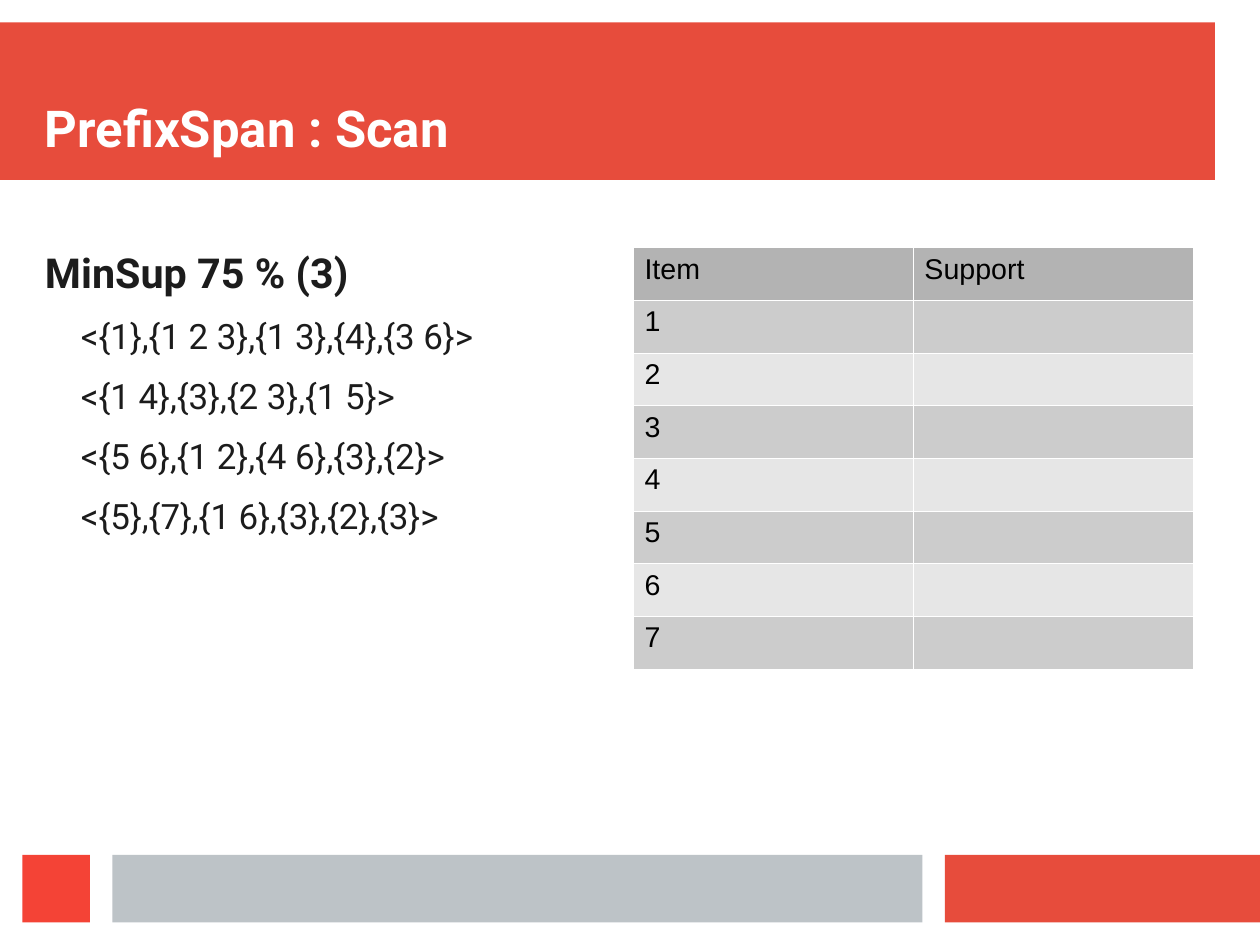
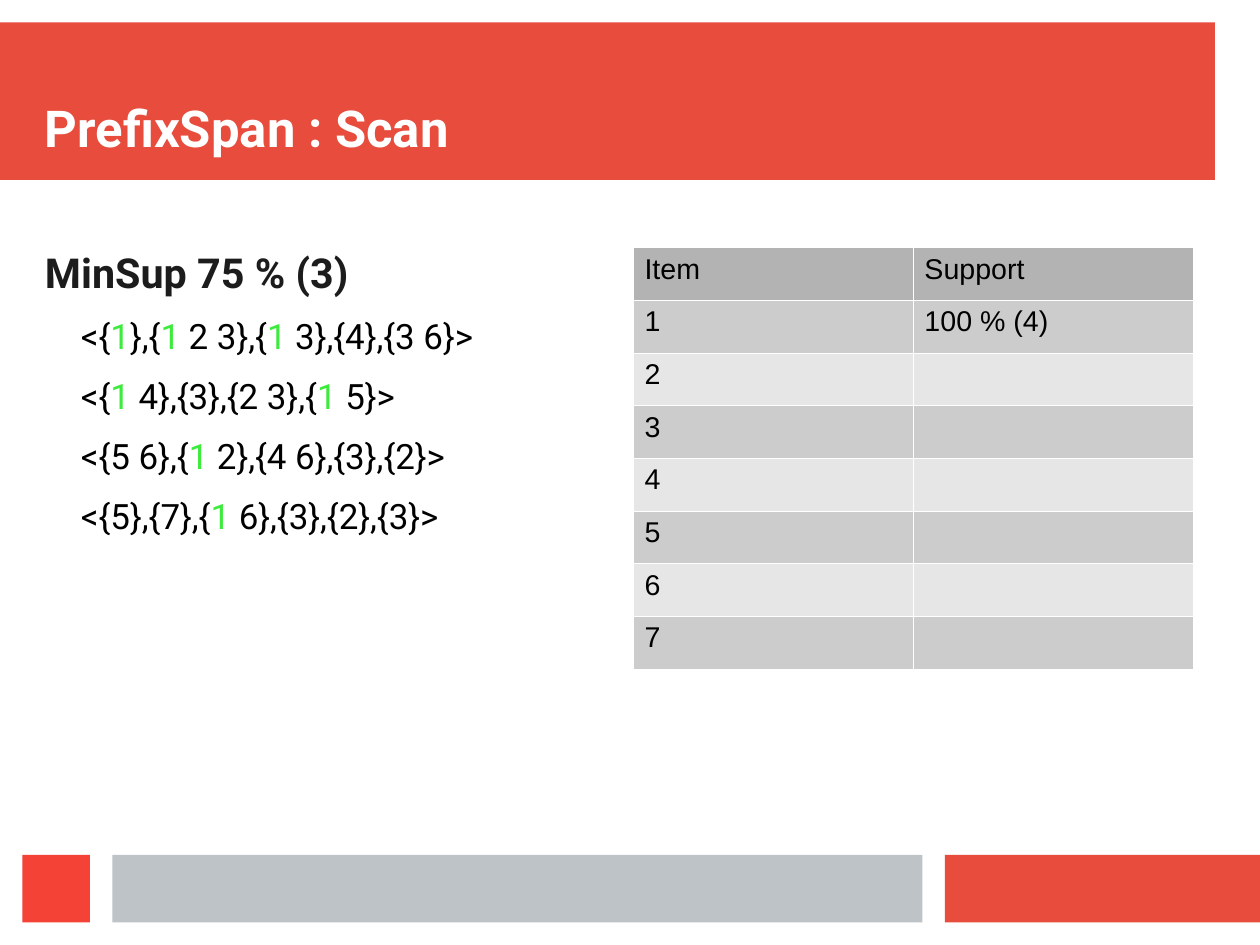
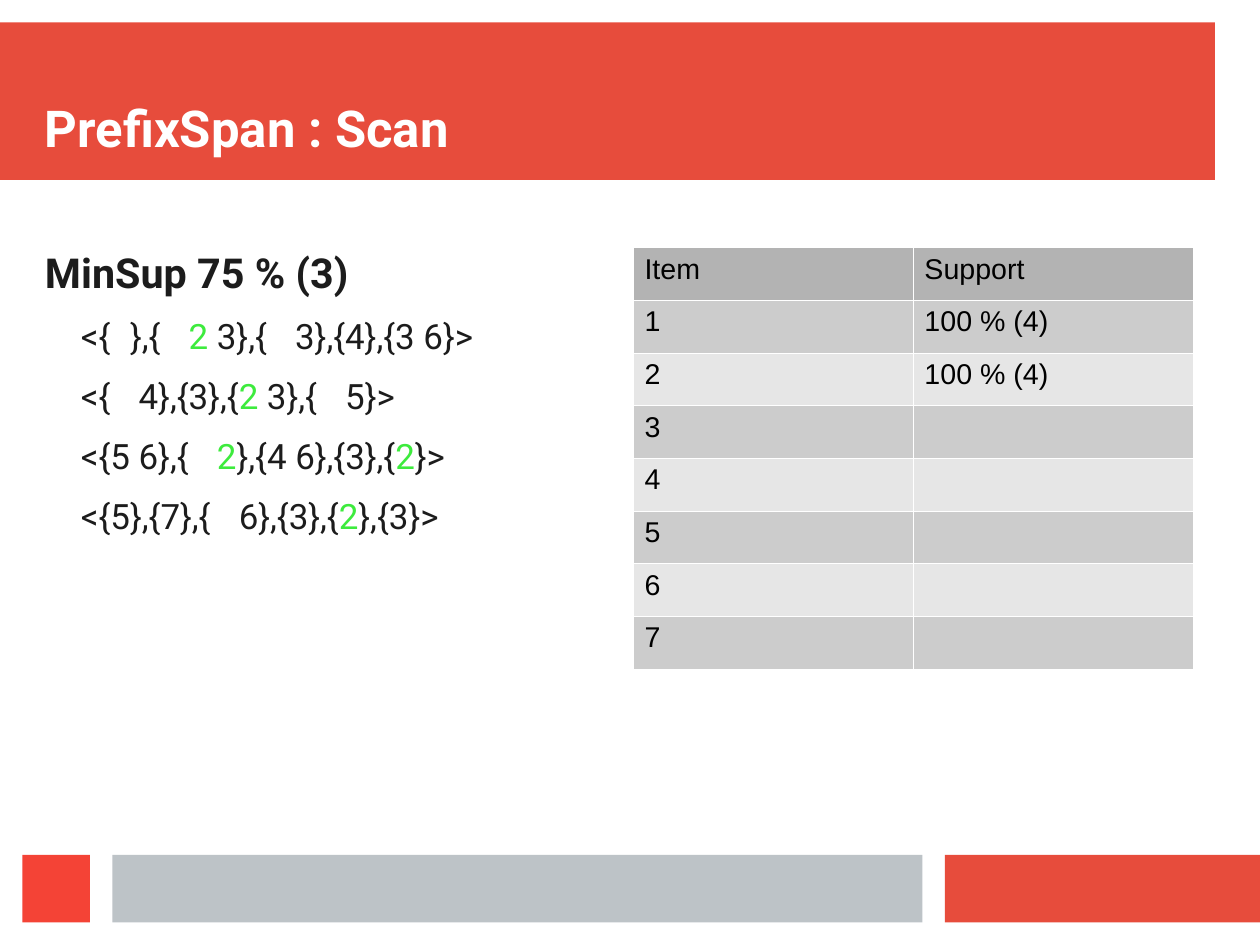
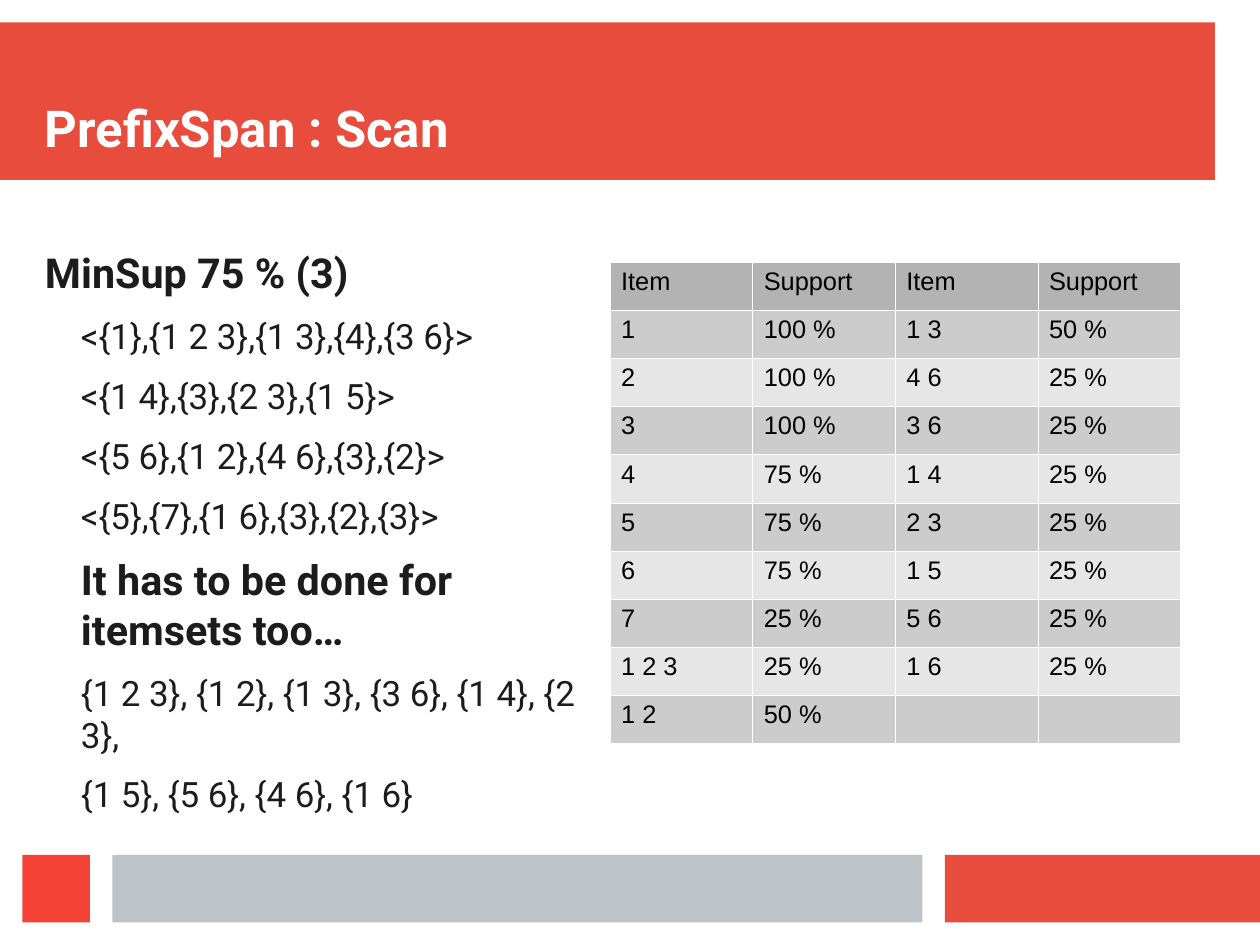
from dataclasses import dataclass, field
from itertools import groupby

from lxml import etree
from pptx import Presentation
from pptx.dml.color import RGBColor
from pptx.enum.shapes import MSO_SHAPE
from pptx.enum.text import MSO_ANCHOR
from pptx.oxml.ns import qn
from pptx.slide import Slide
from pptx.text.text import TextFrame, _Paragraph
from pptx.util import Cm, Pt

RECTANGLE = MSO_SHAPE.RECTANGLE
BOTTOM = MSO_ANCHOR.BOTTOM
BLANK_LAYOUT = 6

RED, BRIGHT_RED, SILVER = "E74C3C", "F44336", "BDC3C7"
WHITE, BLACK, INK, GREEN = "FFFFFF", "000000", "1C1C1C", "3DEB3D"
HEADER_FILL, ROW_FILLS = "B3B3B3", ("CCCCCC", "E6E6E6")
TEXT_FONT, TABLE_FONT = "Roboto", "Arial"
BORDER_WIDTH = Pt(0.06)

TITLE = "PrefixSpan : Scan"
MIN_SUPPORT = "MinSup 75 % (3)"
SEQUENCES = (
    "<{1},{1 2 3},{1 3},{4},{3 6}>",
    "<{1 4},{3},{2 3},{1 5}>",
    "<{5 6},{1 2},{4 6},{3},{2}>",
    "<{5},{7},{1 6},{3},{2},{3}>",
)


@dataclass(frozen=True)
class Band:
    left: float
    top: float
    width: float
    height: float
    color: str


@dataclass(frozen=True)
class Line:
    text: str
    heading: bool = False
    indent: float = 0.8


@dataclass(frozen=True)
class SupportTable:
    rows: list[tuple[str, ...]]
    left: float = 14.07
    top: float = 5.5
    column_width: float = 6.22
    row_height: float = 1.17
    size: int = 18


@dataclass(frozen=True)
class Scan:
    """One step of the scan; item_colors marks the items already counted or being counted."""
    table: SupportTable
    item_colors: dict[str, str] = field(default_factory=dict)
    sequence_color: str = INK
    closing: tuple[Line, ...] = ()


BANDS = (
    Band(0, 0.5, 27, 3.5, RED),
    Band(21, 19, 7, 1.5, RED),
    Band(2.5, 19, 18, 1.5, SILVER),
    Band(0.5, 19, 1.5, 1.5, BRIGHT_RED),
)


def item_rows(*supports: str) -> list[tuple[str, ...]]:
    """Rows for items 1 to 7, with the supports found so far."""
    found = dict(enumerate(supports, 1))
    return [("Item", "Support")] + [(str(i), found.get(i, "")) for i in range(1, 8)]


ITEMSET_ROWS = [
    ("Item", "Support", "Item", "Support"),
    ("1", "100 %", "1 3", "50 %"),
    ("2", "100 %", "4 6", "25 %"),
    ("3", "100 %", "3 6", "25 %"),
    ("4", "75 %", "1 4", "25 %"),
    ("5", "75 %", "2 3", "25 %"),
    ("6", "75 %", "1 5", "25 %"),
    ("7", "25 %", "5 6", "25 %"),
    ("1 2 3", "25 %", "1 6", "25 %"),
    ("1 2", "50 %", "", ""),
]

SCANS = (
    Scan(SupportTable(item_rows())),
    Scan(SupportTable(item_rows("100 % (4)")), {"1": GREEN}, BLACK),
    Scan(SupportTable(item_rows("100 % (4)", "100 % (4)")), {"1": WHITE, "2": GREEN}),
    Scan(
        SupportTable(ITEMSET_ROWS, 13.55, 5.82, 3.17, 1.07, 16),
        closing=(
            Line("It has to be done for itemsets too…", heading=True),
            Line("{1 2 3}, {1 2}, {1 3}, {3 6}, {1 4}, {2 3},"),
            Line("{1 5}, {5 6}, {4 6}, {1 6}"),
        ),
    ),
)


def rgb(color: str) -> RGBColor:
    return RGBColor.from_string(color)


def style(paragraph: _Paragraph, name: str, size: int, color: str, bold: bool = False) -> None:
    font = paragraph.font
    font.name, font.size, font.bold = name, Pt(size), bold
    font.color.rgb = rgb(color)


def add_band(slide: Slide, band: Band) -> None:
    shape = slide.shapes.add_shape(
        RECTANGLE, Cm(band.left), Cm(band.top), Cm(band.width), Cm(band.height))
    shape.shadow.inherit = False
    shape.fill.solid()
    shape.fill.fore_color.rgb = rgb(band.color)
    shape.line.fill.background()


def add_text_area(slide: Slide, top: float, width: float, height: float) -> TextFrame:
    frame = slide.shapes.add_textbox(Cm(1), Cm(top), Cm(width), Cm(height)).text_frame
    frame.word_wrap = True
    frame.margin_left = frame.margin_top = frame.margin_right = frame.margin_bottom = 0
    return frame


def add_title(slide: Slide) -> None:
    frame = add_text_area(slide, 1, 26, 2.5)
    frame.vertical_anchor = BOTTOM
    frame.text = TITLE
    style(frame.paragraphs[0], TEXT_FONT, 32, WHITE, bold=True)


def add_body(slide: Slide, scan: Scan) -> None:
    frame = add_text_area(slide, 5.5, 12.45, 13)
    lines = [Line(MIN_SUPPORT, heading=True, indent=0), *map(Line, SEQUENCES), *scan.closing]
    for index, line in enumerate(lines):
        paragraph = frame.add_paragraph() if index else frame.paragraphs[0]
        paragraph.space_after = Pt(11.3)
        properties = paragraph._p.get_or_add_pPr()
        properties.set("marL", str(Cm(line.indent)))
        properties.set("indent", "0")
        if line.heading:
            style(paragraph, TEXT_FONT, 26, INK, bold=True)
            paragraph.add_run().text = line.text
        else:
            style(paragraph, TEXT_FONT, 22, scan.sequence_color)
            add_marked_runs(paragraph, line.text, scan.item_colors)


def add_marked_runs(paragraph: _Paragraph, text: str, item_colors: dict[str, str]) -> None:
    for color, characters in groupby(text, key=item_colors.get):
        run = paragraph.add_run()
        run.text = "".join(characters)
        if color:
            run.font.color.rgb = rgb(color)


def add_support_table(slide: Slide, support: SupportTable) -> None:
    row_count, column_count = len(support.rows), len(support.rows[0])
    table = slide.shapes.add_table(
        row_count, column_count, Cm(support.left), Cm(support.top),
        Cm(support.column_width * column_count), Cm(support.row_height * row_count)).table
    table.first_row = table.horz_banding = False
    for column in table.columns:
        column.width = Cm(support.column_width)
    for row_index, texts in enumerate(support.rows):
        table.rows[row_index].height = Cm(support.row_height)
        fill = ROW_FILLS[(row_index - 1) % 2] if row_index else HEADER_FILL
        for column_index, text in enumerate(texts):
            cell = table.cell(row_index, column_index)
            add_borders(cell._tc.get_or_add_tcPr())
            cell.fill.solid()
            cell.fill.fore_color.rgb = rgb(fill)
            cell.text = text
            style(cell.text_frame.paragraphs[0], TABLE_FONT, support.size, BLACK)


def add_borders(cell_properties: etree._Element) -> None:
    for side in ("a:lnL", "a:lnR", "a:lnT", "a:lnB"):
        border = etree.SubElement(cell_properties, qn(side), w=str(BORDER_WIDTH))
        fill = etree.SubElement(border, qn("a:solidFill"))
        etree.SubElement(fill, qn("a:srgbClr"), val=WHITE)


def main() -> None:
    presentation = Presentation()
    presentation.slide_width, presentation.slide_height = Cm(28), Cm(21)
    for scan in SCANS:
        slide = presentation.slides.add_slide(presentation.slide_layouts[BLANK_LAYOUT])
        for band in BANDS:
            add_band(slide, band)
        add_title(slide)
        add_body(slide, scan)
        add_support_table(slide, scan.table)
    presentation.save("out.pptx")


if __name__ == "__main__":
    main()
